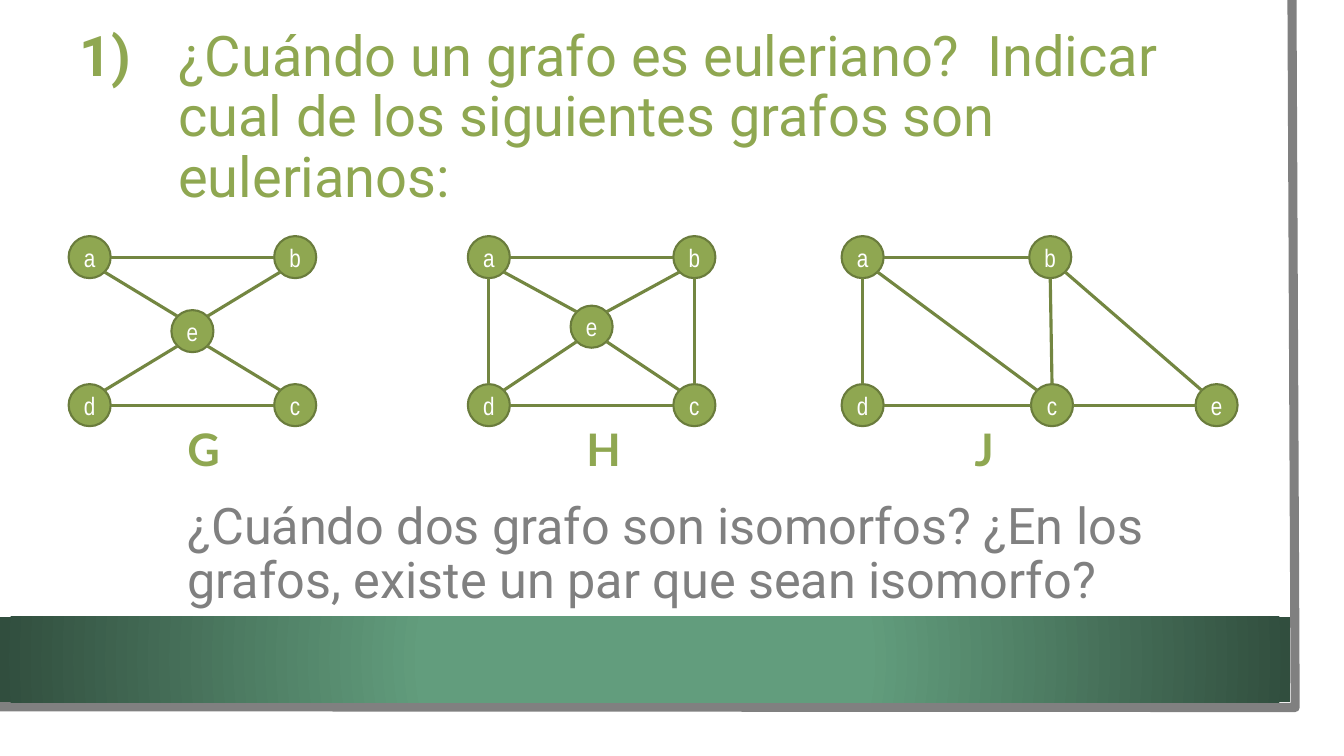
import math

import pptx
import pptx.dml.color
import pptx.enum.shapes
import pptx.enum.text
import pptx.oxml
import pptx.oxml.ns
import pptx.util

Cm = pptx.util.Cm
Pt = pptx.util.Pt
Align = pptx.enum.text.PP_ALIGN
Anchor = pptx.enum.text.MSO_ANCHOR
Preset = pptx.enum.shapes.MSO_SHAPE

COLOURS = {
    "white": "FFFFFF", "grey": "808080", "green": "8FA751", "rim": "6A7C3C",
    "edge": "738641", "band": "629D7D", "band end": "314E3E",
}
NODE = 1.06  # node diameter in cm

# Node positions are fractions of the box through the outer node centres
SQUARE = {"a": (0, 0), "b": (1, 0), "c": (1, 1), "d": (0, 1)}
GRAPHS = [
    {"name": "G", "box": (2.26, 6.48, 5.18, 3.73), "label_shift": 2.21,
     "nodes": {**SQUARE, "e": (0.5, 0.5)},
     "edges": "ab dc ae ec eb de"},
    {"name": "H", "box": (12.32, 6.48, 5.18, 3.73), "label_shift": 2.21,
     "nodes": {**SQUARE, "e": (0.5, 0.47)},
     "edges": "ad cb dc ab ae ec eb de"},
    {"name": "J", "box": (21.74, 6.48, 8.92, 3.73), "label_shift": 2.57,
     "nodes": {"a": (0, 0), "b": (0.53, 0), "c": (0.535, 1), "d": (0, 1), "e": (1, 1)},
     "edges": "ce dc ab ad bc ac be"},
]


def colour(name):
    return pptx.dml.color.RGBColor.from_string(COLOURS[name])


def place(shape, box):
    shape.left, shape.top, shape.width, shape.height = (Cm(value) for value in box)


def write(para, text, font="Roboto", size=18, ink="green", bold=False,
          align=Align.LEFT, spacing=1.0):
    """Add one formatted span to a paragraph."""
    para.alignment = align
    para.line_spacing = spacing
    para.space_before = Pt(0)
    span = para.add_run()
    span.text = text
    span.font.name = font
    span.font.size = Pt(size)
    span.font.bold = bold
    span.font.color.rgb = colour(ink)


def set_frame(shape, anchor=Anchor.MIDDLE, wrap=True):
    frame = shape.text_frame
    frame.auto_size = pptx.enum.text.MSO_AUTO_SIZE.NONE
    frame.word_wrap = wrap
    frame.vertical_anchor = anchor
    return frame.paragraphs[0]


def set_indent(para, left, first):
    """Set the paragraph indents and switch its bullet off."""
    properties = para._p.get_or_add_pPr()
    properties.set("marL", str(Cm(left)))
    properties.set("indent", str(Cm(first)))
    properties.append(pptx.oxml.parse_xml(
        "<a:buNone %s/>" % pptx.oxml.ns.nsdecls("a")))


def bring_to_front(shape):
    shape.element.getparent().append(shape.element)


def add_backdrop(page, box):
    left, top, width, height = box
    # Sheet
    sheet = page.shapes.add_shape(Preset.RECTANGLE, *(Cm(value) for value in box))
    sheet.shadow.inherit = False
    sheet.fill.solid()
    sheet.fill.fore_color.rgb = colour("white")
    sheet.line.fill.background()

    # Grey edge along the right and bottom
    right, bottom = left + width - 0.63, top + height - 0.64
    builder = page.shapes.build_freeform(Cm(right - 0.08), Cm(top))
    builder.add_line_segments(
        [(Cm(right), Cm(bottom)), (Cm(left - 0.08), Cm(bottom - 0.02))], close=False)
    border = builder.convert_to_shape()
    border.shadow.inherit = False
    border.fill.background()
    border.line.color.rgb = colour("grey")
    border.line.width = Pt(6.5)

    # Band with a radial gradient
    band = page.shapes.add_shape(
        Preset.RECTANGLE, Cm(left), Cm(top + 15.54), Cm(32.51), Cm(2.16))
    band.shadow.inherit = False
    band.line.fill.background()
    band.fill.gradient()
    for stop, position, name in zip(
            band.fill.gradient_stops, (0.34, 1), ("band", "band end")):
        stop.position = position
        stop.color.rgb = colour(name)
    linear = band.element.spPr.find(".//" + pptx.oxml.ns.qn("a:lin"))
    linear.getparent().replace(linear, pptx.oxml.parse_xml(
        '<a:path %s path="circle"><a:fillToRect l="50000" t="50000" '
        'r="50000" b="50000"/></a:path>' % pptx.oxml.ns.nsdecls("a")))


def add_title(page, box):
    title = page.shapes.title
    place(title, box)
    bring_to_front(title)
    para = set_frame(title)
    set_indent(para, 2.49, -2.49)
    write(para, "1)", size=40, bold=True, spacing=0.9)
    write(para, "\t¿Cuándo un grafo es euleriano?  Indicar cual de los "
                "siguientes grafos son eulerianos:", size=40, spacing=0.9)


def add_question(page, box):
    body = page.placeholders[1]
    place(body, box)
    bring_to_front(body)
    para = set_frame(body)
    set_indent(para, 0, 0)
    write(para, "¿Cuándo dos grafo son isomorfos? ¿En los grafos, existe un par "
                "que sean isomorfo?", size=36, ink="grey", spacing=0.9)


def add_node(group, letter, centre):
    corner = [Cm(value - NODE / 2) for value in centre]
    node = group.shapes.add_shape(Preset.OVAL, *corner, Cm(NODE), Cm(NODE))
    node.shadow.inherit = False
    node.fill.solid()
    node.fill.fore_color.rgb = colour("green")
    node.line.color.rgb = colour("rim")
    node.line.width = Pt(1.5)
    para = set_frame(node, wrap=False)
    write(para, letter, font="Arial Narrow", ink="white", align=Align.CENTER)


def rim_point(centre, target):
    """Return the rim point, one of eight, that faces the target."""
    steps = [0 if abs(end - start) < 0.2 else math.copysign(1, end - start)
             for start, end in zip(centre, target)]
    reach = NODE / 2 / math.hypot(*steps)
    return [Cm(value + reach * step) for value, step in zip(centre, steps)]


def add_edge(group, start, end):
    edge = group.shapes.add_connector(
        pptx.enum.shapes.MSO_CONNECTOR.STRAIGHT,
        *rim_point(start, end), *rim_point(end, start))
    edge.line.color.rgb = colour("edge")
    edge.line.width = Pt(2.25)
    edge.element.spPr.append(pptx.oxml.parse_xml(
        "<a:effectLst %s/>" % pptx.oxml.ns.nsdecls("a")))


def add_graph(page, name, box, label_shift, nodes, edges):
    left, top, width, height = box
    group = page.shapes.add_group_shape()
    centres = {letter: (left + across * width, top + down * height)
               for letter, (across, down) in nodes.items()}
    for letter, centre in centres.items():
        add_node(group, letter, centre)
    for start, end in edges.split():
        add_edge(group, centres[start], centres[end])
    # Graph name
    label = page.shapes.add_textbox(
        Cm(left + label_shift), Cm(top + height + 0.28), Cm(1.1), Cm(1.63))
    para = set_frame(label, anchor=Anchor.TOP)
    write(para, name, font="Lato", size=32, bold=True)


def main():
    deck = pptx.Presentation()
    deck.slide_width, deck.slide_height = Cm(33.87), Cm(19.05)
    page = deck.slides.add_slide(deck.slide_layouts[1])
    add_backdrop(page, (0, 0, 33.27, 18.47))
    add_title(page, (1.75, 1.07, 28.88, 3.84))
    for graph in GRAPHS:
        add_graph(page, **graph)
    add_question(page, (4.47, 12.32, 26.72, 3.33))
    deck.save("out.pptx")


if __name__ == "__main__":
    main()
